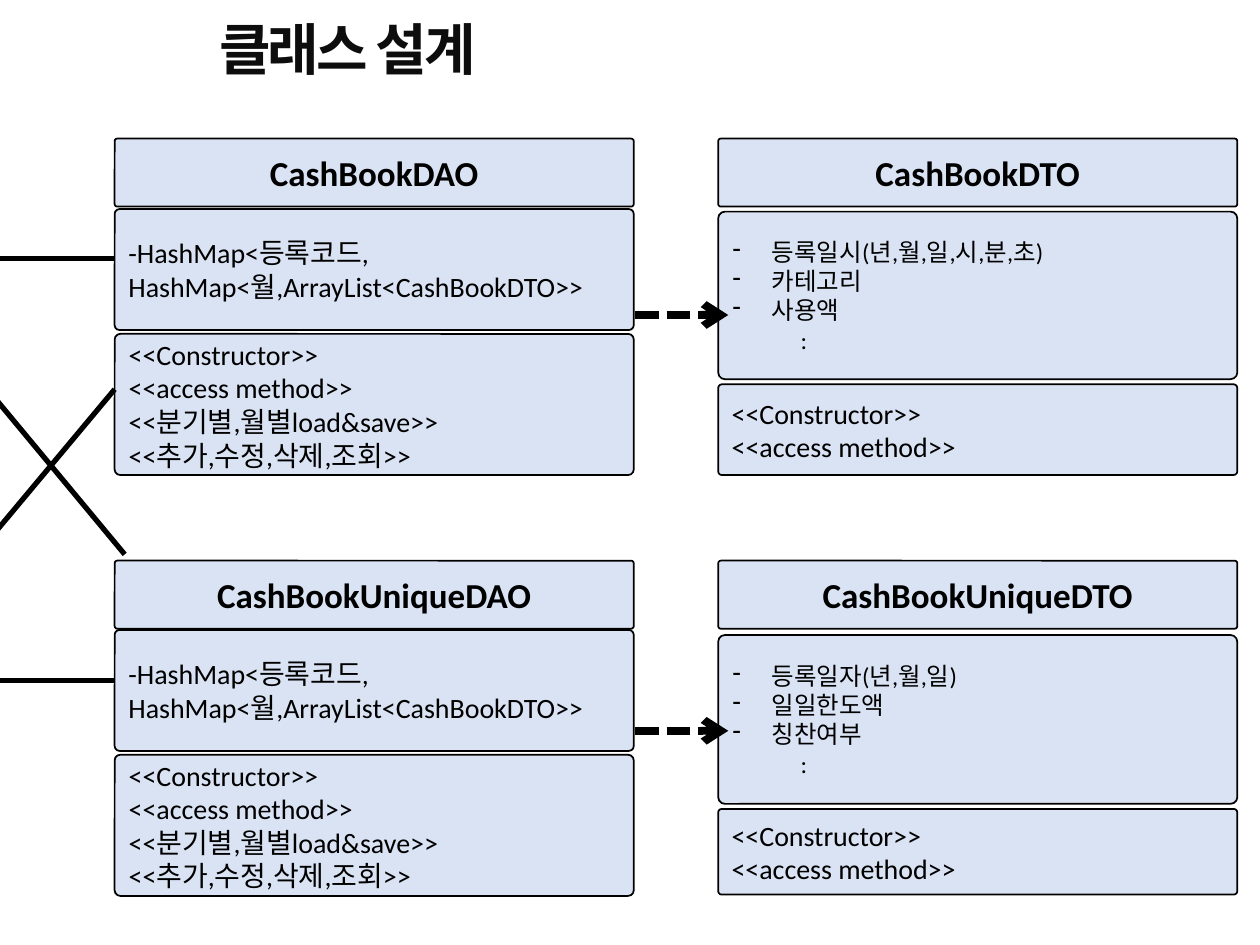
from dataclasses import dataclass

from lxml.etree import SubElement
from pptx import Presentation
from pptx.dml.color import RGBColor
from pptx.enum.dml import MSO_LINE
from pptx.enum.shapes import MSO_CONNECTOR, MSO_SHAPE
from pptx.enum.text import MSO_ANCHOR, PP_ALIGN
from pptx.oxml.ns import qn
from pptx.util import Inches, Pt


@dataclass(frozen=True)
class Theme:
    latin_font: str = "Calibri"
    korean_font: str = "Noto Sans CJK KR"
    ink: RGBColor = RGBColor(0x00, 0x00, 0x00)
    title_ink: RGBColor = RGBColor(0x0D, 0x0D, 0x0D)
    box_fill: RGBColor = RGBColor(0xDA, 0xE3, 0xF3)
    title_size: int = 32
    name_size: int = 20
    body_size: int = 16
    field_size: int = 14
    outline: float = 1
    link: float = 3
    arrow: float = 4.5


@dataclass(frozen=True)
class Section:
    top: float
    height: float
    lines: tuple[str, ...]


@dataclass(frozen=True)
class ClassBox:
    left: float
    top: float
    name: str
    fields: Section
    methods: Section
    bulleted: bool = False


@dataclass(frozen=True)
class Link:
    start: tuple[float, float]
    end: tuple[float, float]
    is_dependency: bool = False


THEME = Theme()
DAO_LEFT, DTO_LEFT = 0.91, 5.7
TOP_ROW, BOTTOM_ROW = 1.1, 4.45
BOX_WIDTH, NAME_HEIGHT = 4.12, 0.54
BULLET_INDENT, ELLIPSIS_INDENT = 0.31, 0.54

DAO_FIELDS = ("-HashMap<등록코드,", "HashMap<월,ArrayList<CashBookDTO>>")
DTO_METHODS = ("<<Constructor>>", "<<access method>>")
DAO_METHODS = DTO_METHODS + ("<<분기별,월별load&save>>", "<<추가,수정,삭제,조회>>")

CLASSES = (
    ClassBox(DAO_LEFT, TOP_ROW, "CashBookDAO",
             Section(1.66, 0.96, DAO_FIELDS), Section(2.65, 1.12, DAO_METHODS)),
    ClassBox(DAO_LEFT, BOTTOM_ROW, "CashBookUniqueDAO",
             Section(5.0, 0.96, DAO_FIELDS), Section(5.99, 1.12, DAO_METHODS)),
    ClassBox(DTO_LEFT, BOTTOM_ROW, "CashBookUniqueDTO",
             Section(5.04, 1.34, ("등록일자(년,월,일)", "일일한도액", "칭찬여부", ":")),
             Section(6.42, 0.68, DTO_METHODS), bulleted=True),
    ClassBox(DTO_LEFT, TOP_ROW, "CashBookDTO",
             Section(1.68, 1.33, ("등록일시(년,월,일,시,분,초)", "카테고리", "사용액", ":")),
             Section(3.05, 0.72, DTO_METHODS), bulleted=True),
)
INCOMING_LINKS = (
    Link((-0.09, 2.05), (1.32, 2.05)),
    Link((0, 5.4), (1.32, 5.4)),
)
FRONT_LINKS = (
    Link((5.04, 2.5), (5.78, 2.5), is_dependency=True),
    Link((5.04, 5.8), (5.78, 5.8), is_dependency=True),
    Link((-0.53, 2.57), (0.99, 4.4)),
    Link((-0.26, 4.49), (0.91, 3.09)),
)


def format_runs(paragraph, size: float, color: RGBColor, latin: str, bold: bool = False) -> None:
    for run in paragraph.runs:
        run.font.size = Pt(size)
        run.font.bold = bold
        run.font.color.rgb = color
        run.font.name = latin
        SubElement(run.font._element, qn("a:ea"), typeface=THEME.korean_font)


def indent_field(paragraph) -> None:
    """Hang a dash before a field; indent the closing colon without one."""
    properties = paragraph._p.get_or_add_pPr()
    if paragraph.text == ":":
        properties.set("marL", str(Inches(ELLIPSIS_INDENT)))
        properties.set("indent", "0")
        SubElement(properties, qn("a:buNone"))
    else:
        properties.set("marL", str(Inches(BULLET_INDENT)))
        properties.set("indent", str(-Inches(BULLET_INDENT)))
        SubElement(properties, qn("a:buChar"), char="-")


def add_section(slide, left: float, section: Section, size: float,
                is_name: bool = False, bulleted: bool = False) -> None:
    shape = slide.shapes.add_shape(
        MSO_SHAPE.ROUNDED_RECTANGLE, Inches(left), Inches(section.top),
        Inches(BOX_WIDTH), Inches(section.height))
    shape.adjustments[0] = 0.04
    shape.shadow.inherit = False
    shape.fill.solid()
    shape.fill.fore_color.rgb = THEME.box_fill
    shape.line.color.rgb = THEME.ink
    shape.line.width = Pt(THEME.outline)
    text_frame = shape.text_frame
    text_frame.word_wrap = True
    text_frame.vertical_anchor = MSO_ANCHOR.MIDDLE
    text_frame.text = "\n".join(section.lines)
    for paragraph in text_frame.paragraphs:
        paragraph.alignment = PP_ALIGN.CENTER if is_name else PP_ALIGN.LEFT
        if bulleted:
            indent_field(paragraph)
        format_runs(paragraph, size, THEME.ink, THEME.latin_font, bold=is_name)


def add_class(slide, box: ClassBox) -> None:
    name = Section(box.top, NAME_HEIGHT, (box.name,))
    add_section(slide, box.left, name, THEME.name_size, is_name=True)
    field_size = THEME.field_size if box.bulleted else THEME.body_size
    add_section(slide, box.left, box.fields, field_size, bulleted=box.bulleted)
    add_section(slide, box.left, box.methods, THEME.body_size)


def add_link(slide, link: Link) -> None:
    connector = slide.shapes.add_connector(
        MSO_CONNECTOR.STRAIGHT, *(Inches(value) for value in link.start + link.end))
    connector.line.color.rgb = THEME.ink
    connector.line.width = Pt(THEME.arrow if link.is_dependency else THEME.link)
    if link.is_dependency:
        connector.line.dash_style = MSO_LINE.SQUARE_DOT
        SubElement(connector.line._get_or_add_ln(), qn("a:tailEnd"), type="arrow")
    SubElement(connector._element.spPr, qn("a:effectLst"))


def add_title(slide, text: str) -> None:
    title = slide.shapes.add_textbox(Inches(1.64), Inches(-0.01), Inches(8.02), Inches(0.85))
    text_frame = title.text_frame
    text_frame.word_wrap = True
    text_frame.vertical_anchor = MSO_ANCHOR.MIDDLE
    text_frame.text = text
    paragraph = text_frame.paragraphs[0]
    paragraph.line_spacing = 0.9
    format_runs(paragraph, THEME.title_size, THEME.title_ink, THEME.korean_font, bold=True)
    paragraph.runs[0].font._element.set("spc", "-150")


def main() -> None:
    presentation = Presentation()
    presentation.slide_width = Inches(10)
    presentation.slide_height = Inches(7.5)
    slide = presentation.slides.add_slide(presentation.slide_layouts[6])
    add_title(slide, "클래스 설계")
    for link in INCOMING_LINKS:
        add_link(slide, link)
    for box in CLASSES:
        add_class(slide, box)
    for link in FRONT_LINKS:
        add_link(slide, link)
    presentation.save("out.pptx")


if __name__ == "__main__":
    main()
